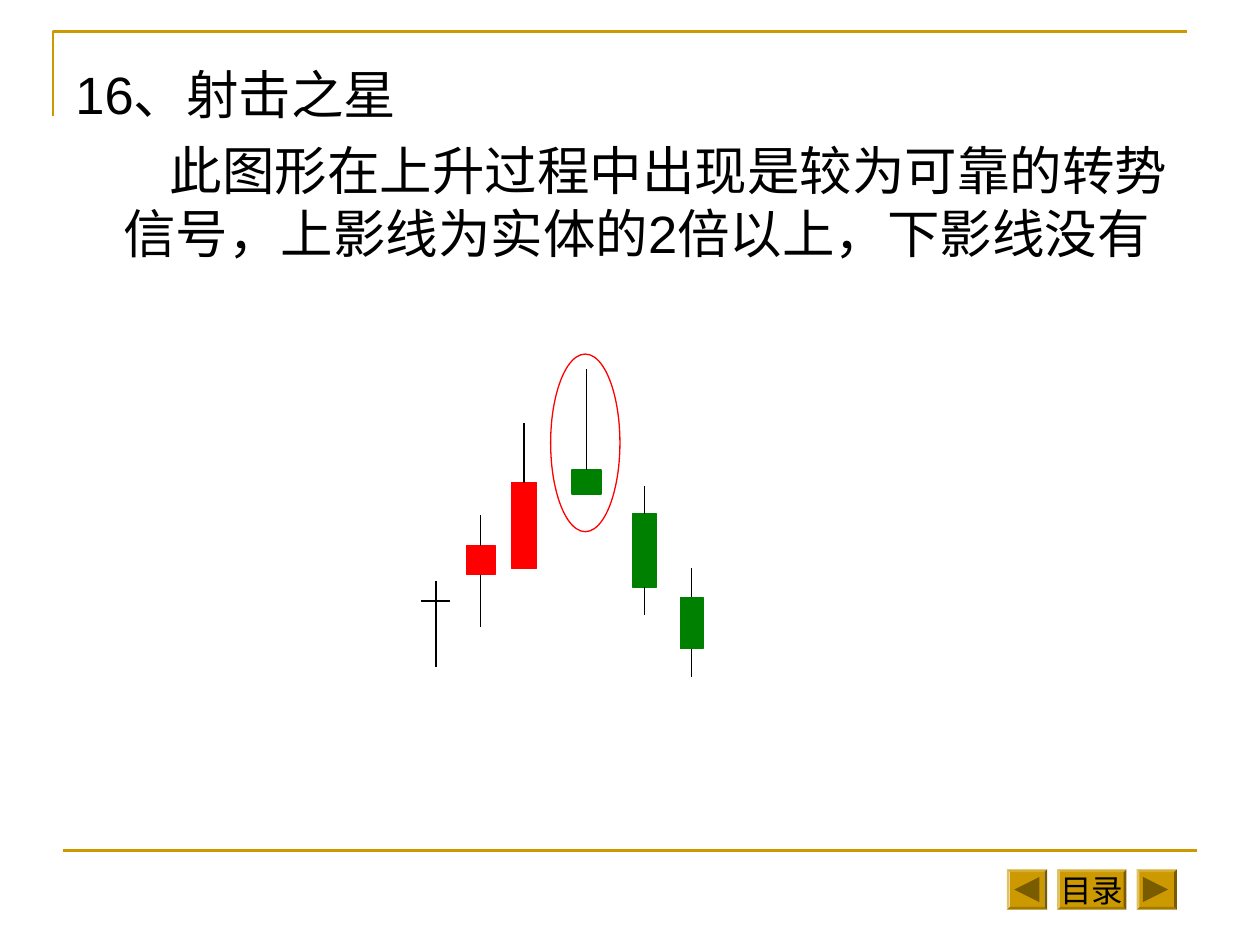
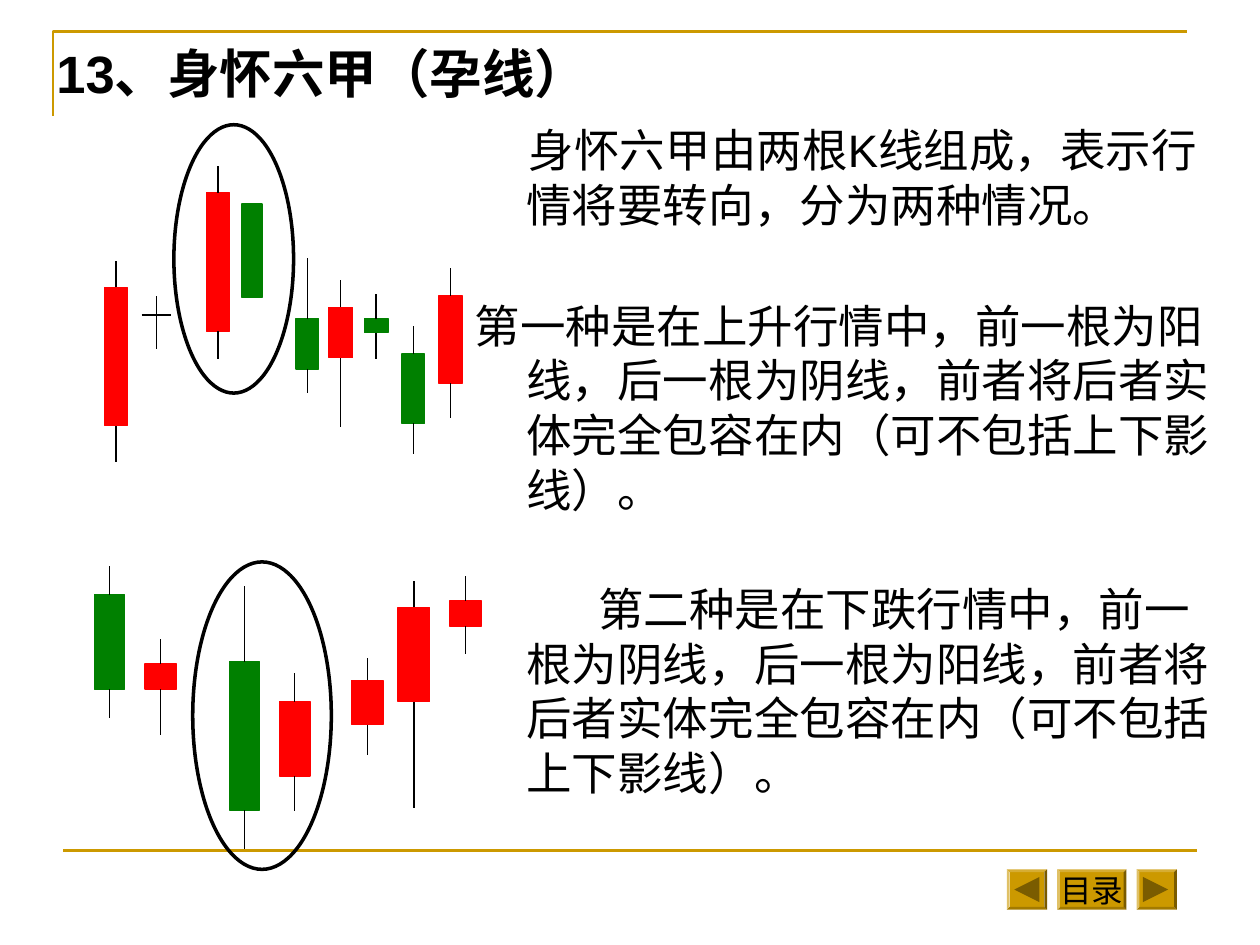
import pptx
import pptx.util
import pptx.dml.color
import pptx.enum.lang
import pptx.enum.shapes
import pptx.enum.text
import pptx.oxml.ns
import lxml.etree

Inches = pptx.util.Inches
Pt = pptx.util.Pt
RGBColor = pptx.dml.color.RGBColor
Shape = pptx.enum.shapes.MSO_SHAPE

GOLD = RGBColor(0xCC, 0x99, 0x00)
DARK_GOLD = RGBColor(0x7A, 0x5C, 0x00)
BLACK = RGBColor(0x00, 0x00, 0x00)
WHITE = RGBColor(0xFF, 0xFF, 0xFF)
RED = RGBColor(0xFF, 0x00, 0x00)
GREEN = RGBColor(0x00, 0x80, 0x00)

FONT = "Arial"
LINE_PITCH = 1.2
TOP, BOTTOM = 0, 2

# Candles: colour, left, top, width, height, high, low (None: no shadow line)
SHOOTING_STAR = [
    (RED, 3.7, 4.33, 0.23, 0.23, 4.09, 4.98),
    (RED, 4.06, 3.83, 0.2, 0.68, 3.36, None),
    (GREEN, 4.54, 3.73, 0.23, 0.19, 2.93, None),
    (GREEN, 5.02, 4.08, 0.19, 0.58, 3.86, 4.88),
    (GREEN, 5.4, 4.74, 0.18, 0.41, 4.51, 5.37),
]
HARAMI_AT_TOP = [
    (RED, 0.83, 2.28, 0.18, 1.1, 2.07, 3.67),
    (RED, 1.64, 1.53, 0.18, 1.1, 1.32, 2.85),
    (GREEN, 1.92, 1.62, 0.16, 0.74, None, None),
    (GREEN, 2.35, 2.53, 0.18, 0.4, 2.05, 3.12),
    (RED, 2.61, 2.44, 0.19, 0.4, 2.22, 3.39),
    (GREEN, 2.89, 2.53, 0.19, 0.11, 2.33, 2.85),
    (GREEN, 3.19, 2.81, 0.18, 0.55, 2.59, 3.6),
    (RED, 3.48, 2.35, 0.19, 0.69, 2.13, 3.32),
]
HARAMI_AT_BOTTOM = [
    (GREEN, 0.75, 4.72, 0.24, 0.75, 4.49, 5.7),
    (RED, 1.15, 5.27, 0.25, 0.2, 5.07, 5.83),
    (GREEN, 1.82, 5.25, 0.24, 1.18, 4.65, 6.74),
    (RED, 2.22, 5.57, 0.24, 0.59, 5.34, 6.44),
    (RED, 2.79, 5.4, 0.25, 0.35, 5.22, 5.99),
    (RED, 3.16, 4.82, 0.25, 0.75, 4.61, 6.41),
    (RED, 3.57, 4.77, 0.25, 0.2, 4.57, 5.19),
]


class PatternDeck:
    """Holds the deck, the current slide and the shared style."""

    def __init__(self):
        self.deck = pptx.Presentation()
        self.deck.slide_width = Inches(10)
        self.deck.slide_height = Inches(7.5)
        self.slide = None

    def add_slide(self):
        self.slide = self.deck.slides.add_slide(self.deck.slide_layouts[6])
        self.frame()
        self.navigation()

    def frame(self):
        builder = self.slide.shapes.build_freeform(
            Inches(0.42), Inches(0.92))
        builder.add_line_segments(
            [(Inches(0.42), Inches(0.25)), (Inches(9.42), Inches(0.25))],
            close=False)
        corner = builder.convert_to_shape()
        corner.shadow.inherit = False
        corner.fill.background()
        corner.line.color.rgb = GOLD
        corner.line.width = Pt(1.5)
        self.line(0.5, 6.75, 9.5, 6.75, GOLD, 1.5)

    def navigation(self):
        self.button(7.99, 0.32)
        self.triangle(8.05, -90)
        contents = self.button(8.39, 0.55)
        text = contents.text_frame
        text.word_wrap = False
        text.vertical_anchor = pptx.enum.text.MSO_ANCHOR.MIDDLE
        para = text.paragraphs[0]
        para.alignment = pptx.enum.text.PP_ALIGN.CENTER
        self.span(para, "目录", 18)
        self.button(9.02, 0.32)
        self.triangle(9.07, 90)

    def button(self, left, width):
        button = self.shape(Shape.BEVEL, left, 6.9, width, 0.32, GOLD)
        button.adjustments[0] = 0.07
        return button

    def triangle(self, left, rotation):
        arrow = self.shape(
            Shape.ISOSCELES_TRIANGLE, left, 6.96, 0.2, 0.2, DARK_GOLD)
        arrow.rotation = rotation

    def shape(self, kind, left, top, width, height,
              fill=None, line=None, weight=0.75):
        shape = self.slide.shapes.add_shape(
            kind, Inches(left), Inches(top), Inches(width), Inches(height))
        shape.shadow.inherit = False
        if fill is None:
            shape.fill.background()
        else:
            shape.fill.solid()
            shape.fill.fore_color.rgb = fill
        if line is None:
            shape.line.fill.background()
        else:
            shape.line.color.rgb = line
            shape.line.width = Pt(weight)
        return shape

    def line(self, x1, y1, x2, y2, color=BLACK, weight=0.75):
        line = self.slide.shapes.add_connector(
            pptx.enum.shapes.MSO_CONNECTOR.STRAIGHT,
            Inches(x1), Inches(y1), Inches(x2), Inches(y2))
        line.line.color.rgb = color
        line.line.width = Pt(weight)
        lxml.etree.SubElement(
            line._element.spPr, pptx.oxml.ns.qn("a:effectLst"))
        return line

    def candle(self, color, left, top, width, height, high, low):
        body = self.shape(
            Shape.RECTANGLE, left, top, width, height, color, color)
        middle = left + width / 2
        for tip, edge, side in ((high, top, TOP),
                                (low, top + height, BOTTOM)):
            if tip is not None:
                shadow_line = self.line(middle, edge, middle, tip)
                shadow_line.begin_connect(body, side)

    def candles(self, rows):
        for row in rows:
            self.candle(*row)

    def doji(self, x, high, low, level):
        """Draws a candle whose body is only a short level line."""
        self.line(x, high, x, low)
        self.line(x - 0.115, level, x + 0.115, level)

    def text_box(self, left, top, width, height):
        box = self.slide.shapes.add_textbox(
            Inches(left), Inches(top), Inches(width), Inches(height))
        box.text_frame.word_wrap = True
        return box.text_frame

    def paragraph(self, para, text, size, margin=0, indent=0,
                  before=0, bold=False):
        properties = para._p.get_or_add_pPr()
        properties.set("marL", str(Inches(margin)))
        properties.set("indent", str(Inches(indent)))
        para.line_spacing = Pt(size * LINE_PITCH)
        para.space_before = Pt(before)
        self.span(para, text, size, bold)

    def span(self, para, text, size, bold=False):
        span = para.add_run()
        span.text = text
        span.font.name = FONT
        span.font.size = Pt(size)
        span.font.bold = bold
        span.font.color.rgb = BLACK
        span.font.language_id = (
            pptx.enum.lang.MSO_LANGUAGE_ID.SIMPLIFIED_CHINESE)


def shooting_star_slide(pattern):
    pattern.add_slide()
    text = pattern.text_box(0.5, 0.44, 9, 6.26)
    pattern.paragraph(text.paragraphs[0], "16、射击之星", 30)
    pattern.paragraph(
        text.add_paragraph(),
        "此图形在上升过程中出现是较为可靠的转势信号，"
        "上影线为实体的2倍以上，下影线没有",
        30, margin=0.38, indent=0.37, before=7.5)
    pattern.shape(Shape.OVAL, 4.37, 2.81, 0.55, 1.41, WHITE, RED)
    pattern.doji(3.46, 4.61, 5.29, 4.77)
    pattern.candles(SHOOTING_STAR)


def harami_slide(pattern):
    pattern.add_slide()
    text = pattern.text_box(0.35, 0.28, 9.37, 6.85)
    pattern.paragraph(
        text.paragraphs[0], "13、身怀六甲（孕线）", 30, bold=True)
    explanations = [
        ("身怀六甲由两根K线组成，表示行情将要转向，分为两种情况。",
         0.02, 10),
        ("第一种是在上升行情中，前一根为阳线，后一根为阴线，"
         "前者将后者实体完全包容在内（可不包括上下影线）。", -0.41, 38),
        ("第二种是在下跌行情中，前一根为阴线，后一根为阳线，"
         "前者将后者实体完全包容在内（可不包括上下影线）。", 0.57, 37),
    ]
    for words, indent, before in explanations:
        pattern.paragraph(text.add_paragraph(), words, 26,
                          margin=3.73, indent=indent, before=before)
    pattern.doji(1.24, 2.35, 2.77, 2.5)
    pattern.candles(HARAMI_AT_TOP)
    pattern.candles(HARAMI_AT_BOTTOM)
    pattern.shape(Shape.OVAL, 1.53, 4.46, 1.1, 2.44, line=BLACK, weight=2)
    pattern.shape(Shape.OVAL, 1.38, 0.99, 0.95, 2.13, line=BLACK, weight=2)


def main():
    pattern = PatternDeck()
    shooting_star_slide(pattern)
    harami_slide(pattern)
    pattern.deck.save("out.pptx")


if __name__ == "__main__":
    main()
